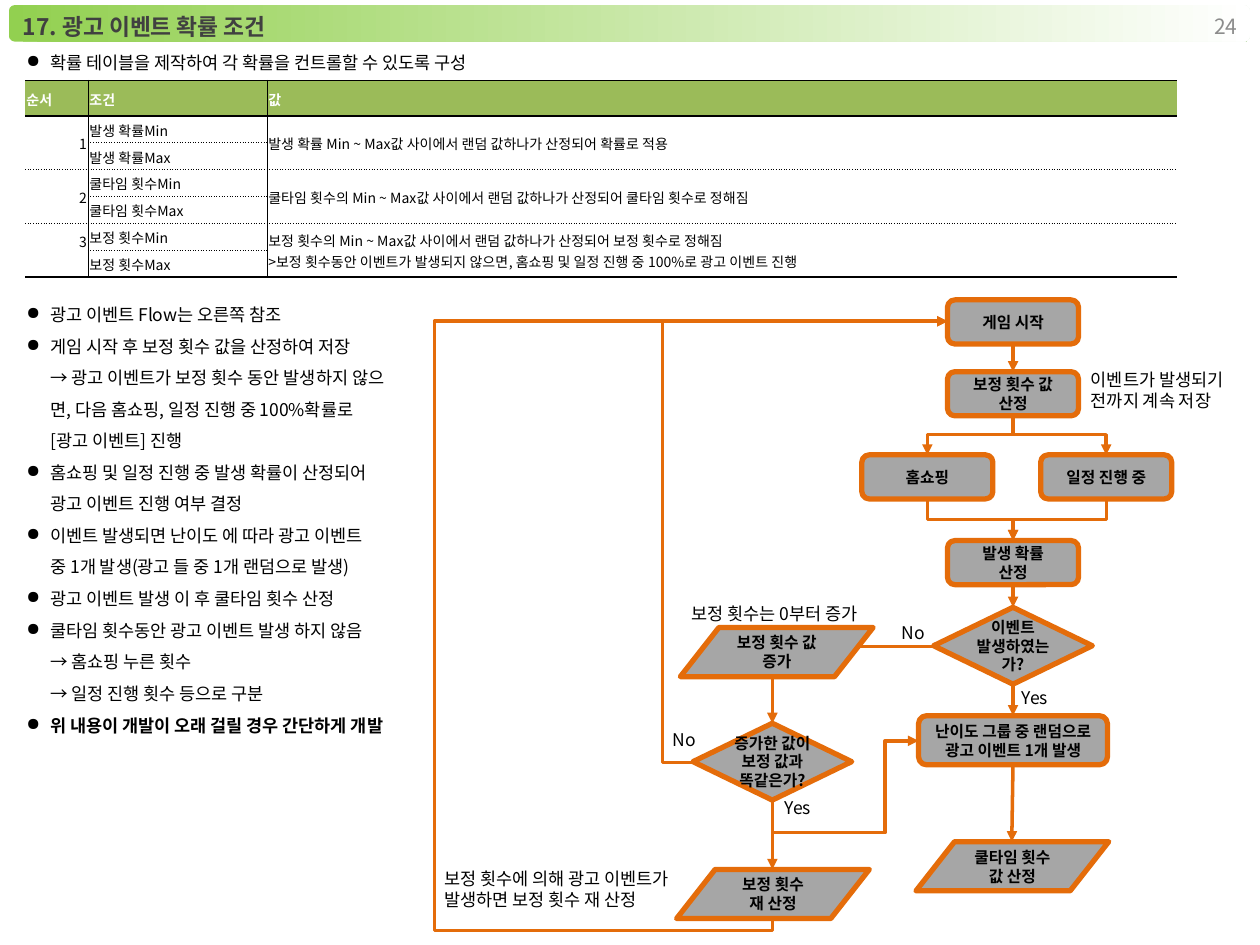
from copy import deepcopy
from dataclasses import dataclass
from typing import Any

from lxml import etree
from pptx import Presentation
from pptx import util as u
from pptx.dml.color import RGBColor
from pptx.enum import shapes, text
from pptx.oxml.ns import qn

SHAPE = shapes.MSO_SHAPE
ALIGN = text.PP_ALIGN
MID = text.MSO_ANCHOR.MIDDLE
TOP = text.MSO_ANCHOR.TOP


def hue(code):
    return RGBColor.from_string(code)


def node(root, tag, **attrs):
    return etree.SubElement(root, qn(tag), **attrs)


def pad(frame, sides):
    names = ("margin_left", "margin_top", "margin_right", "margin_bottom")
    for name, size in zip(names, sides):
        setattr(frame, name, u.Inches(size))


def put(frame, words, font="Noto Sans CJK KR", size=10, color="000000",
        bold=False, align=ALIGN.LEFT, space=None, mark=None):
    for i, line in enumerate(words):
        para = frame.paragraphs[0] if i == 0 else frame.add_paragraph()
        para.text = line
        para.alignment = align
        if space:
            para.line_spacing = space
        if mark:
            props = para._p.get_or_add_pPr()
            props.set("marL", str(u.Inches(0.19)))
            props.set("indent", str(-u.Inches(0.19)))
            node(props, "a:buChar", char=mark)
        for run in para.runs:
            face = run.font
            face.name, face.size, face.bold = font, u.Pt(size), bold
            face.color.rgb = hue(color)
            node(run._r.rPr, "a:ea", typeface=font)
        for gap in para._p.findall(qn("a:br")):
            gap.insert(0, deepcopy(para.runs[0]._r.rPr))


@dataclass
class Sheet:
    """Draws styled elements on one slide."""
    slide: Any
    edge: str = "E46C0A"
    gray: str = "A6A6A6"
    green: str = "9BBB59"

    def head(self, words, x, y, w, h):
        bar = self.slide.shapes.add_shape(
            SHAPE.ROUNDED_RECTANGLE, *map(u.Inches, (x, y, w, h)))
        bar.shadow.inherit = False
        bar.line.fill.background()
        bar.fill.gradient()
        bar.fill.gradient_angle = 0
        for stop, code in zip(bar.fill.gradient_stops, ("92D050", "FFFFFF")):
            stop.color.rgb = hue(code)
        bar.text_frame.vertical_anchor = MID
        put(bar.text_frame, [words], size=13, color="404040", bold=True, space=1.2)

    def note(self, words, x, y, w, h, sides=(0.1, 0.05, 0.1, 0.05), anchor=TOP, **look):
        box = self.slide.shapes.add_textbox(*map(u.Inches, (x, y, w, h)))
        frame = box.text_frame
        frame.word_wrap = True
        frame.vertical_anchor = anchor
        pad(frame, sides)
        put(frame, words, **look)

    def step(self, words, x, y, w=1.04, h=0.35, kind=SHAPE.ROUNDED_RECTANGLE):
        box = self.slide.shapes.add_shape(kind, *map(u.Inches, (x, y, w, h)))
        box.shadow.inherit = False
        box.fill.solid()
        box.fill.fore_color.rgb = hue(self.gray)
        box.line.color.rgb = hue(self.edge)
        box.line.width = u.Pt(3)
        frame = box.text_frame
        frame.word_wrap = True
        frame.vertical_anchor = MID
        pad(frame, (0, 0, 0, 0))
        put(frame, words, size=9, bold=True, align=ALIGN.CENTER)

    def style(self, link):
        link.line.color.rgb = hue(self.edge)
        link.line.width = u.Pt(2)
        node(link.line._get_or_add_ln(), "a:tailEnd", type="triangle")
        node(link._element.spPr, "a:effectLst")

    def arrow(self, *ends):
        self.style(self.slide.shapes.add_connector(
            shapes.MSO_CONNECTOR.STRAIGHT, *map(u.Inches, ends)))

    def bend(self, x1, y1, x2, y2, turn, flip="", kind=3, adjust=()):
        w, h = abs(x2 - x1), abs(y2 - y1)
        if turn % 180:
            w, h = h, w
        x, y = (x1 + x2 - w) / 2, (y1 + y2 - h) / 2
        link = self.slide.shapes.add_connector(
            shapes.MSO_CONNECTOR.ELBOW, *map(u.Inches, (x, y, x + w, y + h)))
        props = link._element.spPr
        frame = props.find(qn("a:xfrm"))
        frame.set("rot", str(turn * 60000))
        for side in flip:
            frame.set("flip" + side.upper(), "1")
        form = props.find(qn("a:prstGeom"))
        form.set("prst", f"bentConnector{kind}")
        for i, part in enumerate(adjust, 1):
            node(form.find(qn("a:avLst")), "a:gd", name=f"adj{i}",
                 fmla=f"val {round(part * 100000)}")
        self.style(link)

    def rule(self, cell, side, width, dash="solid"):
        line = node(cell._tc.get_or_add_tcPr(), "a:ln" + side, w=str(u.Pt(width)))
        if not width:
            node(line, "a:noFill")
            return
        node(node(line, "a:solidFill"), "a:srgbClr", val="000000")
        node(line, "a:prstDash", val=dash)

    def table(self, rows, x, y, cols, tall, high):
        count = len(rows)
        grid = self.slide.shapes.add_table(
            count, len(cols), *map(u.Inches, (x, y, sum(cols), high))).table
        for col, w in zip(grid.columns, cols):
            col.width = u.Inches(w)
        for r, row in enumerate(grid.rows):
            row.height = u.Inches((high - tall) / (count - 1) if r else tall)
        for r, row in enumerate(rows):
            for c, words in enumerate(row):
                cell = grid.cell(r, c)
                if r % 2 and c != 1:
                    cell.merge(grid.cell(r + 1, c))
                last = r + 1 if cell.is_merge_origin else r
                self.rule(cell, "L", 0.5 if c else 0)
                self.rule(cell, "R", 0.5 if c < len(cols) - 1 else 0)
                for side, line in (("T", r), ("B", last + 1)):
                    if line in (0, 1, count):
                        self.rule(cell, side, 1)
                    else:
                        self.rule(cell, side, 0.5, "sysDot")
                cell.fill.solid()
                cell.fill.fore_color.rgb = hue("FFFFFF" if r else self.green)
                cell.vertical_anchor = MID
                pad(cell, (0.01, 0.01, 0.01, 0.15 if words == "3" else 0))
                if words:
                    put(cell.text_frame, [words], size=8, bold=not r,
                        color="000000" if r else "FFFFFF",
                        align=ALIGN.RIGHT if r and not c else ALIGN.LEFT)


ROWS = [
    ("순서", "조건", "값"),
    ("1", "발생 확률Min", "발생 확률 Min ~ Max값 사이에서 랜덤 값하나가 산정되어 확률로 적용"),
    ("", "발생 확률Max", ""),
    ("2", "쿨타임 횟수Min", "쿨타임 횟수의 Min ~ Max값 사이에서 랜덤 값하나가 산정되어 쿨타임 횟수로 정해짐"),
    ("", "쿨타임 횟수Max", ""),
    ("3", "보정 횟수Min", "보정 횟수의 Min ~ Max값 사이에서 랜덤 값하나가 산정되어 보정 횟수로 정해짐\n"
     ">보정 횟수동안 이벤트가 발생되지 않으면, 홈쇼핑 및 일정 진행 중 100%로 광고 이벤트 진행"),
    ("", "보정 횟수Max", ""),
]
POINTS = [
    "광고 이벤트 Flow는 오른쪽 참조",
    "게임 시작 후 보정 횟수 값을 산정하여 저장\n→ 광고 이벤트가 보정 횟수 동안 발생하지 않으\n"
    "면, 다음 홈쇼핑, 일정 진행 중 100%확률로\n[광고 이벤트] 진행",
    "홈쇼핑 및 일정 진행 중 발생 확률이 산정되어\n광고 이벤트 진행 여부 결정",
    "이벤트 발생되면 난이도 에 따라 광고 이벤트\n중 1개 발생(광고 들 중 1개 랜덤으로 발생)",
    "광고 이벤트 발생 이 후 쿨타임 횟수 산정",
    "쿨타임 횟수동안 광고 이벤트 발생 하지 않음\n→ 홈쇼핑 누른 횟수\n→ 일정 진행 횟수 등으로 구분",
]


def main():
    deck = Presentation()
    deck.slide_width, deck.slide_height = u.Inches(10), u.Inches(7.5)
    page = Sheet(deck.slides.add_slide(deck.slide_layouts[6]))
    page.head("17. 광고 이벤트 확률 조건", 0.07, 0.04, 9.85, 0.29)
    page.note(["24"], 7.59, 0.01, 2.33, 0.4, anchor=MID, size=12,
              color="8C8C8C", align=ALIGN.RIGHT)
    bullet = dict(sides=(0.14, 0, 0.14, 0), space=1.5, mark="●")
    page.note(["확률 테이블을 제작하여 각 확률을 컨트롤할 수 있도록 구성"],
              0.07, 0.33, 4.38, 0.27, **bullet)
    page.note(POINTS, 0.07, 2.33, 4.38, 3.25, **bullet)
    page.note(["위 내용이 개발이 오래 걸릴 경우 간단하게 개발"],
              0.07, 5.59, 4.38, 0.27, bold=True, **bullet)
    page.table(ROWS, 0.2, 0.64, (0.5, 1.42, 7.22), 0.28, 1.56)

    for words, x, y in ((["홈쇼핑"], 6.84, 3.61), (["일정 진행 중"], 8.26, 3.61),
                        (["게임 시작"], 7.52, 2.38), (["보정 횟수 값", "산정"], 7.52, 2.95),
                        (["발생 확률", "산정"], 7.52, 4.29)):
        page.step(words, x, y)
    page.step(["난이도 그룹 중 랜덤으로 광고 이벤트 1개 발생"], 7.29, 5.68, 1.5, 0.39)
    for words, x, y in ((["이벤트", "발생하였는가?"], 7.41, 4.82),
                        (["증가한 값이 보정 값과 똑같은가?"], 5.5, 5.74)):
        page.step(words, x, y, 1.26, 0.61, SHAPE.DIAMOND)

    page.bend(7.41, 5.13, 6.13, 5.74, 180, "v", 2)
    for words, x, y in ((["보정 횟수", "재 산정"], 5.37, 6.9),
                        (["쿨타임 횟수", "값 산정"], 7.27, 6.68),
                        (["보정 횟수 값", "증가"], 5.4, 4.98)):
        page.step(words, x, y, 1.53, 0.39, SHAPE.FLOWCHART_DATA)

    for x, turn, flip in ((8.78, 270, "h"), (7.36, 90, "")):
        page.bend(8.04, 3.29, x, 3.61, turn, flip)
    for x, turn, flip in ((8.78, 90, ""), (7.36, 270, "h")):
        page.bend(x, 3.96, 8.04, 4.29, turn, flip)
    page.bend(5.5, 6.05, 7.52, 2.55, 180, "h", 3, (-0.12,))
    page.bend(6.13, 6.36, 7.29, 5.88, 90, "hv", 4, (-0.52, 0.77))
    page.bend(6.13, 7.29, 7.52, 2.55, 90, "hv", 4, (-0.02, -1.93))
    for top, base in ((2.73, 2.95), (4.63, 4.82), (5.43, 5.68)):
        page.arrow(8.04, top, 8.04, base)
    page.arrow(8.04, 6.07, 8.03, 6.68)
    page.arrow(6.13, 6.36, 6.13, 6.9)

    page.note(["이벤트가 발생되기", "전까지 계속 저장"], 8.56, 2.88, 2.35, 0.44)
    page.note(["보정 횟수에 의해 광고 이벤트가 발생하면 보정 횟수 재 산정"], 3.43, 6.84, 2.35, 0.44)
    page.note(["보정 횟수는 0부터 증가"], 5.39, 4.74, 2.35, 0.27)
    for word, x, y in (("Yes", 8.01, 5.4), ("No", 7.06, 4.89),
                       ("Yes", 6.13, 6.28), ("No", 5.24, 5.74)):
        page.note([word], x, y, 0.64, 0.27)
    deck.save("out.pptx")


if __name__ == "__main__":
    main()
